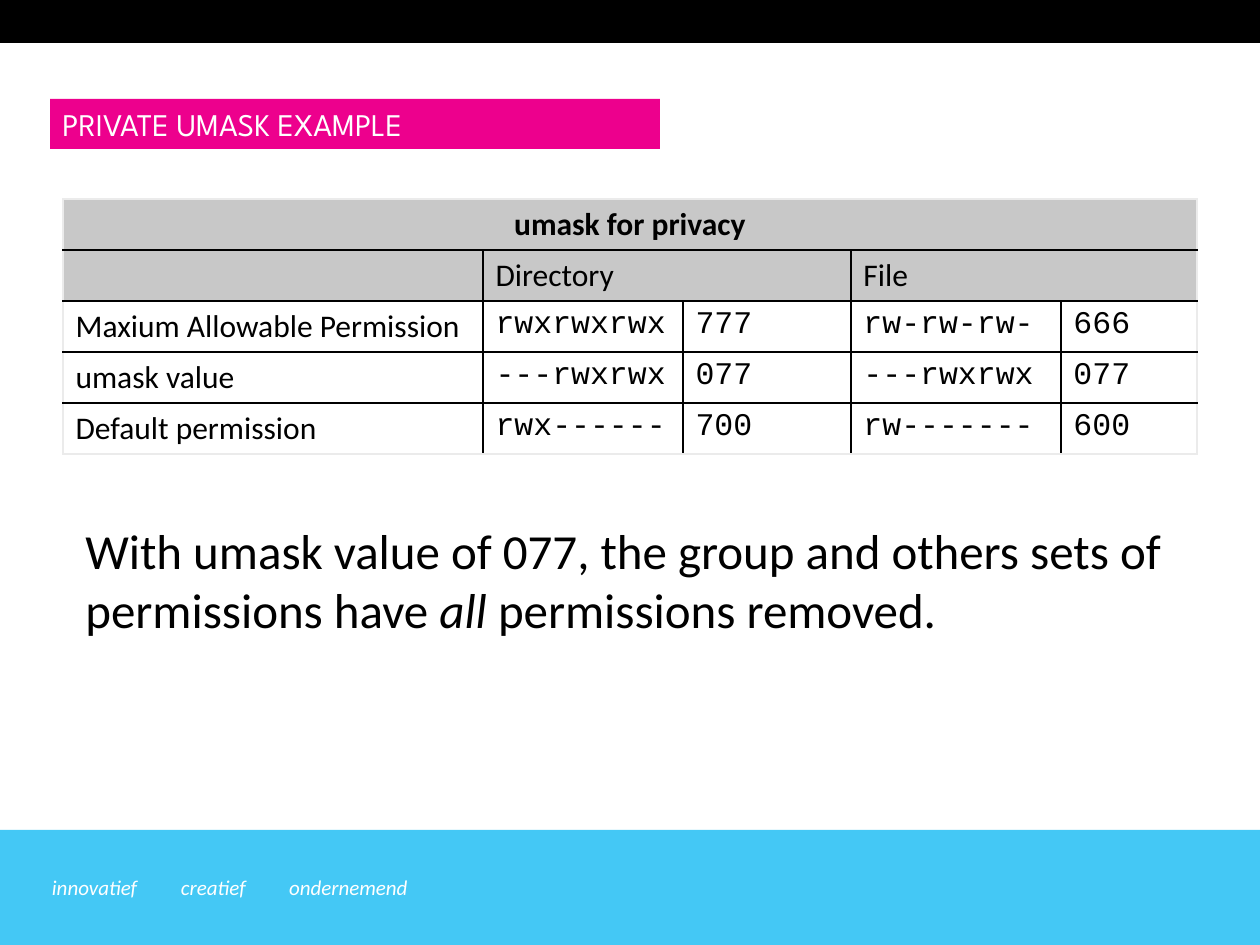
from lxml.etree import SubElement
from pptx import Presentation
from pptx.dml.color import RGBColor
from pptx.enum.shapes import MSO_SHAPE as Shape
from pptx.enum.text import MSO_ANCHOR as Anchor, PP_ALIGN as Align
from pptx.oxml.ns import qn
from pptx.util import Pt

EMU_PER_PX = 914400 / 126

BLACK = RGBColor(0x00, 0x00, 0x00)
WHITE = RGBColor(0xFF, 0xFF, 0xFF)
PINK = RGBColor(0xED, 0x00, 0x8D)
BLUE = RGBColor(0x44, 0xC8, 0xF5)
GREY = RGBColor(0xC8, 0xC8, 0xC8)
PALE = RGBColor(0xEB, 0xEB, 0xEB)

BODY_FONT, CODE_FONT, TITLE_FONT = "Calibri", "Courier New", "League Spartan"

COLUMN_WIDTHS = [420, 200, 168, 210, 136]
ROW_HEIGHT = 51
HEADER_ROWS = 2
ROWS = [
    ["umask for privacy", "", "", "", ""],
    ["", "Directory", "", "File", ""],
    ["Maxium Allowable Permission", "rwxrwxrwx", "777", "rw-rw-rw-", "666"],
    ["umask value", "---rwxrwx", "077", "---rwxrwx", "077"],
    ["Default permission", "rwx------", "700", "rw-------", "600"],
]
MERGES = [(0, 0, 4), (1, 1, 2), (1, 3, 4)]  # row, first column, last column


def px(value):
    return round(value * EMU_PER_PX)


def add_span(para, text, size, color=BLACK, font=BODY_FONT, bold=False, italic=False):
    span = para.add_run()
    span.text = text
    span.font.name = font
    span.font.size = Pt(size)
    span.font.color.rgb = color
    span.font.bold = bold
    span.font.italic = italic


def add_bar(page, left, top, width, height, color):
    bar = page.shapes.add_shape(Shape.RECTANGLE, *map(px, (left, top, width, height)))
    bar.shadow.inherit = False
    bar.fill.solid()
    bar.fill.fore_color.rgb = color
    bar.line.fill.background()
    return bar


def add_text(page, left, top, width, height, wrap=True):
    box = page.shapes.add_textbox(*map(px, (left, top, width, height)))
    box.text_frame.word_wrap = wrap
    return box.text_frame


def add_title(page, text):
    frame = add_bar(page, 50, 99, 610, 50, PINK).text_frame
    frame.word_wrap = False
    frame.vertical_anchor = Anchor.MIDDLE
    para = frame.paragraphs[0]
    para.alignment = Align.LEFT
    add_span(para, text, 18, WHITE, TITLE_FONT)


def set_border(cell, side, color):
    line = SubElement(cell._tc.get_or_add_tcPr(), qn(f"a:ln{side}"), w=str(Pt(1)))
    fill = SubElement(line, qn("a:solidFill"))
    SubElement(fill, qn("a:srgbClr"), val=str(color))


def style_cell(cell, row, column):
    # Pale outer frame, black inner rules
    last_column = column + cell.span_width == len(COLUMN_WIDTHS)
    outer = {"L": column == 0, "R": last_column,
             "T": row == 0, "B": row == len(ROWS) - 1}
    for side, is_outer in outer.items():
        set_border(cell, side, PALE if is_outer else BLACK)
    if row < HEADER_ROWS:
        cell.fill.solid()
        cell.fill.fore_color.rgb = GREY
    else:
        cell.fill.background()


def add_permission_table(page):
    frame = page.shapes.add_table(len(ROWS), len(COLUMN_WIDTHS), px(63), px(199),
                                  px(sum(COLUMN_WIDTHS)), px(ROW_HEIGHT * len(ROWS)))
    table = frame.table
    table.first_row = table.horz_banding = False
    for column, width in zip(table.columns, COLUMN_WIDTHS):
        column.width = px(width)
    for row in table.rows:
        row.height = px(ROW_HEIGHT)
    for row, first, last in MERGES:
        table.cell(row, first).merge(table.cell(row, last))

    for row, texts in enumerate(ROWS):
        for column, text in enumerate(texts):
            cell = table.cell(row, column)
            if cell.is_spanned:
                continue
            style_cell(cell, row, column)
            para = cell.text_frame.paragraphs[0]
            para.font.size = Pt(18)
            if row == 0:
                para.alignment = Align.CENTER
            if text:
                is_code = row >= HEADER_ROWS and column > 0
                add_span(para, text, 18, font=CODE_FONT if is_code else BODY_FONT,
                         bold=row == 0)


def add_footer(page):
    add_bar(page, 0, 830, 1260, 115, BLUE)
    for word, left, width in [("innovatief", 52, 98), ("creatief", 181, 78),
                              ("ondernemend", 289, 132)]:
        frame = add_text(page, left, 868, width, 38, wrap=False)
        frame.margin_left = 0
        add_span(frame.paragraphs[0], word, 12, WHITE, italic=True)


def add_explanation(page):
    para = add_text(page, 73, 514, 1124, 131).paragraphs[0]
    add_span(para, "With umask value of 077, the group and others sets of "
                   "permissions have ", 28)
    add_span(para, "all", 28, italic=True)
    add_span(para, " permissions removed.", 28)


def main():
    deck = Presentation()
    deck.slide_width, deck.slide_height = px(1260), px(945)
    page = deck.slides.add_slide(deck.slide_layouts[6])

    # Page frame
    add_footer(page)
    add_bar(page, 0, 0, 1260, 43, BLACK)

    # Content
    add_title(page, "PRIVATE UMASK EXAMPLE")
    add_permission_table(page)
    add_explanation(page)

    deck.save("out.pptx")


if __name__ == "__main__":
    main()
